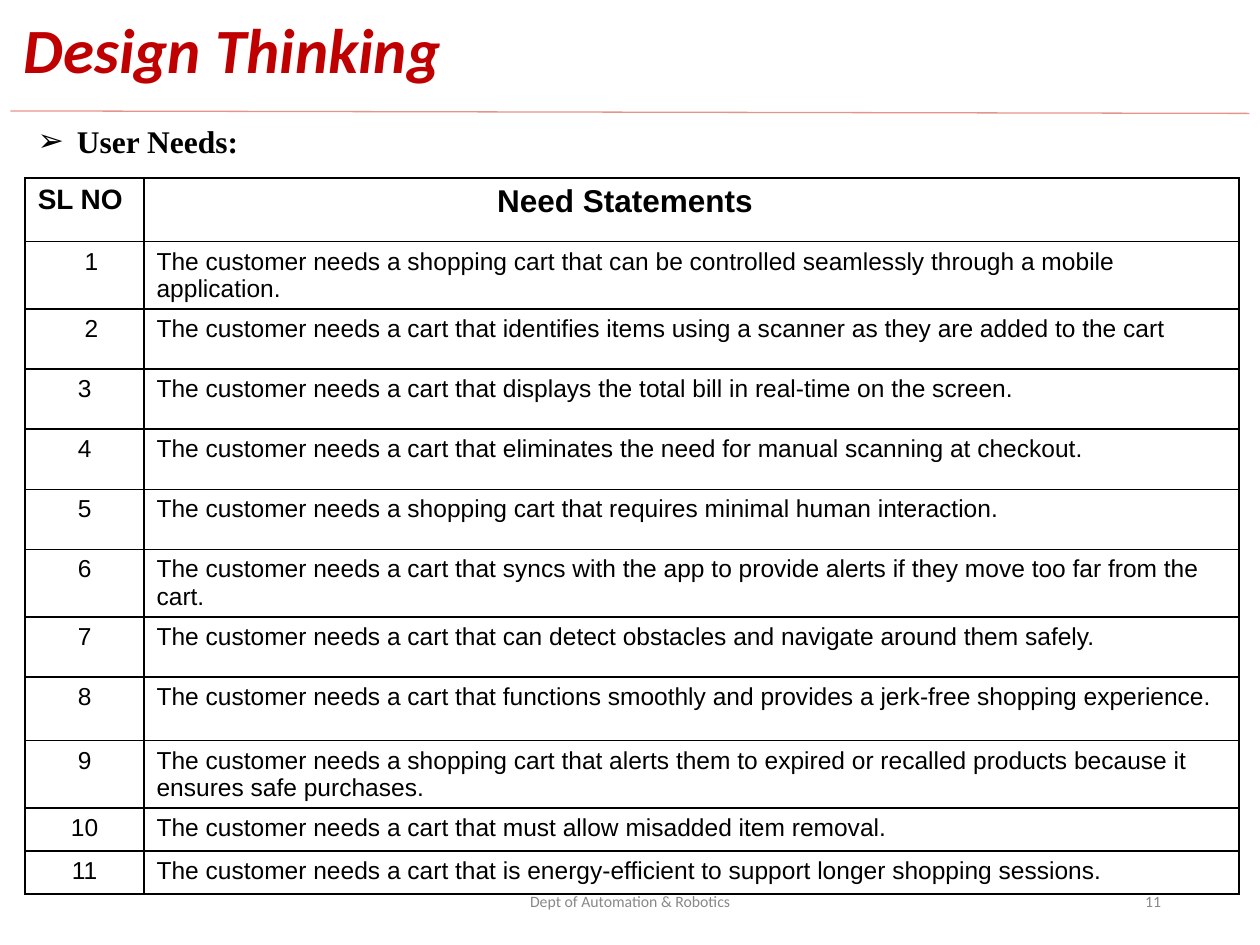
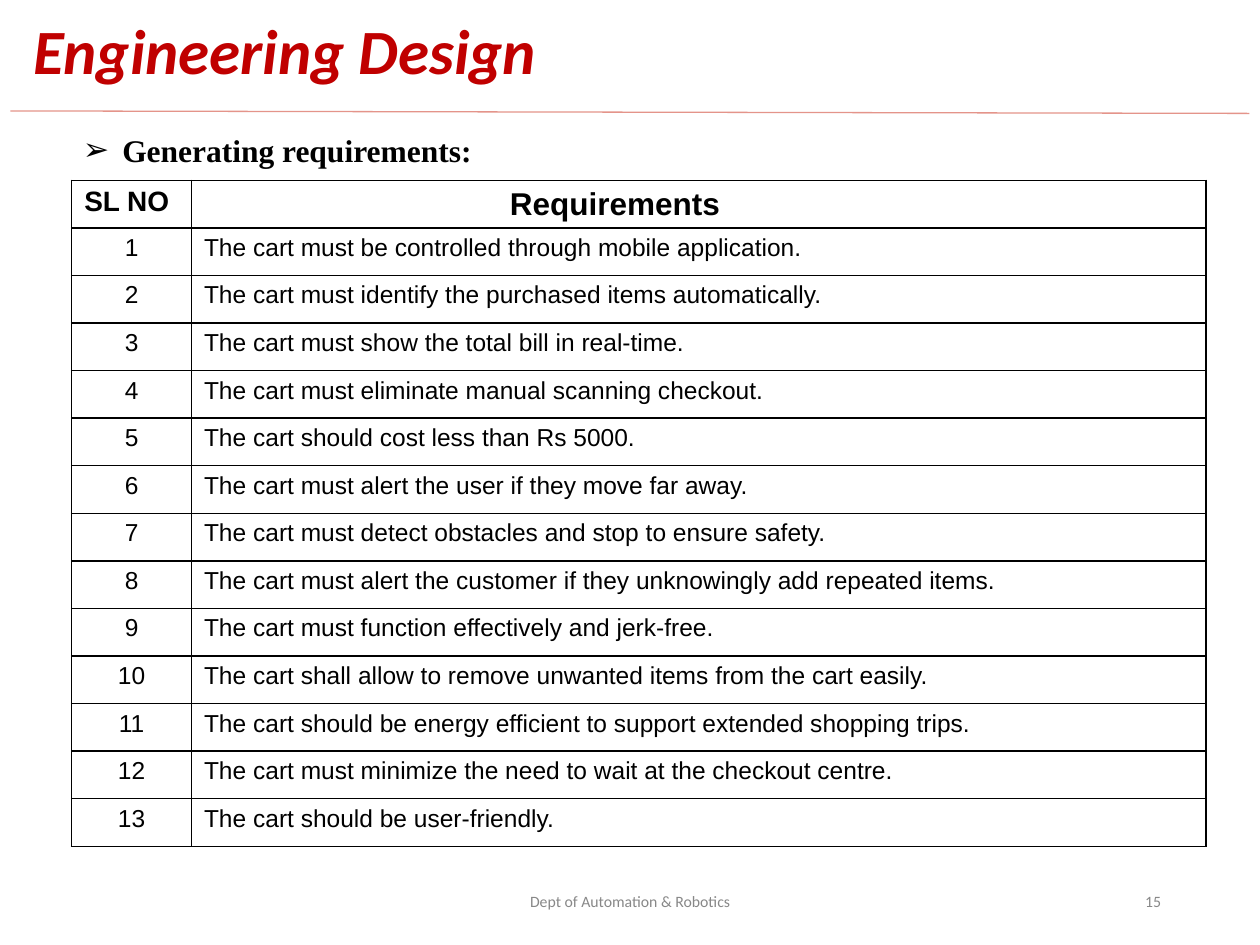
import pptx
import pptx.util
import pptx.dml.color
import pptx.enum.shapes
import pptx.enum.text
import pptx.oxml.ns
from lxml import etree

Pt = pptx.util.Pt
Color = pptx.dml.color.RGBColor
Align = pptx.enum.text.PP_ALIGN
Anchor = pptx.enum.text.MSO_ANCHOR
qn = pptx.oxml.ns.qn

RED = Color(0xC0, 0x00, 0x00)
ROSE = Color(0xE4, 0x94, 0x8A)
GREY = Color(0x88, 0x88, 0x88)
BLACK = Color(0, 0, 0)

NEEDS = [
    "The customer needs a shopping cart that can be controlled seamlessly through a mobile application.",
    "The customer needs a cart that identifies items using a scanner as they are added to the cart",
    "The customer needs a cart that displays the total bill in real-time on the screen.",
    "The customer needs a cart that eliminates the need for manual scanning at checkout.",
    "The customer needs a shopping cart that requires minimal human interaction.",
    "The customer needs a cart that syncs with the app to provide alerts if they move too far from the cart.",
    "The customer needs a cart that can detect obstacles and navigate around them safely.",
    "The customer needs a cart that functions smoothly and provides a jerk-free shopping experience.",
    "The customer needs a shopping cart that alerts them to expired or recalled products because it "
    "ensures safe purchases.",
    "The customer needs a cart that must allow misadded item removal.",
    "The customer needs a cart that is energy-efficient to support longer shopping sessions.",
]
NEED_ROWS = [36.4, 38.6] + [34.3] * 4 + [38.6, 34.3, 36.4, 38.6, 24.5, 24.5]

RULES = [
    "The cart must be controlled through mobile application.",
    "The cart must identify the purchased items automatically.",
    "The cart must show the total bill in real-time.",
    "The cart must eliminate manual scanning checkout.",
    "The cart should cost less than Rs 5000.",
    "The cart must alert the user if they move far away.",
    "The cart must detect obstacles and stop to ensure safety.",
    "The cart must alert the customer if they unknowingly add repeated items.",
    "The cart must function effectively and jerk-free.",
    "The cart shall allow to remove unwanted items from the cart easily.",
    "The cart should be energy efficient to support extended shopping trips.",
    "The cart must minimize the need to wait at the checkout centre.",
    "The cart should be user-friendly.",
]
RULE_ROWS = [27.2] * (len(RULES) + 1)


def add_run(para, text, size, face, color=BLACK, bold=False, italic=False):
    run = para.add_run()
    run.text = text
    font = run.font
    font.size, font.name = Pt(size), face
    font.bold, font.italic = bold, italic
    font.color.rgb = color


def indent(para, left, first=0):
    props = para._p.get_or_add_pPr()
    props.set("marL", str(Pt(left)))
    props.set("indent", str(Pt(first)))
    return props


def add_box(slide, left, top, width, height, anchor=Anchor.MIDDLE):
    """Add a wrapping text box and return its first paragraph."""
    box = slide.shapes.add_textbox(Pt(left), Pt(top), Pt(width), Pt(height))
    frame = box.text_frame
    frame.word_wrap = True
    frame.vertical_anchor = anchor
    return frame.paragraphs[0]


def add_rule(slide):
    line = slide.shapes.add_connector(
        pptx.enum.shapes.MSO_CONNECTOR.STRAIGHT, Pt(6), Pt(63.4), Pt(714), Pt(64.8))
    line.line.color.rgb = ROSE
    line.line.width = Pt(0.75)
    etree.SubElement(line._element.spPr, qn("a:effectLst"))


def add_title(slide, text, left, top):
    para = add_box(slide, left, top, 620.6, 41.8)
    para.line_spacing = 0.9
    add_run(para, text, 36, "Calibri", RED, bold=True, italic=True)


def add_foot(slide, number):
    for text, left, width, align in (
            ("Dept of Automation & Robotics", 238.5, 243, Align.CENTER),
            (number, 508.5, 162, Align.RIGHT)):
        para = add_box(slide, left, 500.5, width, 28.8)
        para.alignment = align
        add_run(para, text, 9, "Calibri", GREY)


def add_bullet(slide, text, left, top, width):
    para = add_box(slide, left, top, width, 29, Anchor.TOP)
    props = indent(para, 22.5, -22.5)
    tint = etree.SubElement(props, qn("a:buClr"))
    etree.SubElement(tint, qn("a:srgbClr")).set("val", str(BLACK))
    etree.SubElement(props, qn("a:buFont")).set("typeface", "Arial")
    etree.SubElement(props, qn("a:buChar")).set("char", "➢")
    add_run(para, text, 18, "Times New Roman", bold=True)


def style_cell(cell):
    """Give a cell black one-point borders, no fill and a tight bottom margin."""
    props = cell._tc.get_or_add_tcPr()
    for side in ("a:lnL", "a:lnR", "a:lnT", "a:lnB"):
        edge = etree.SubElement(props, qn(side))
        edge.set("w", str(Pt(1)))
        fill = etree.SubElement(edge, qn("a:solidFill"))
        etree.SubElement(fill, qn("a:srgbClr")).set("val", str(BLACK))
    cell.fill.background()
    cell.margin_bottom = Pt(1)


def add_list(slide, left, top, widths, heights, head, shift, items, nudged=0):
    """Add a numbered table; shift indents its heading, nudged counts offset numbers."""
    table = slide.shapes.add_table(
        len(items) + 1, 2, Pt(left), Pt(top), Pt(sum(widths)), Pt(sum(heights))).table
    table.first_row = table.horz_banding = False
    for col, width in zip(table.columns, widths):
        col.width = Pt(width)
    for row, height in zip(table.rows, heights):
        row.height = Pt(height)
    for cell in table.iter_cells():
        style_cell(cell)

    def para_at(row, col):
        return table.cell(row, col).text_frame.paragraphs[0]

    add_run(para_at(0, 0), "SL NO", 16, "Arial", bold=True)
    indent(para_at(0, 1), shift)
    add_run(para_at(0, 1), head, 18, "Arial", bold=True)
    for num, item in enumerate(items, 1):
        para = para_at(num, 0)
        para.alignment = Align.CENTER
        if num <= nudged:
            indent(para, 7.8)
        add_run(para, str(num), 14, "Arial")
        add_run(para_at(num, 1), item, 14, "Arial")


def add_page(deck, title, left, top, number):
    slide = deck.slides.add_slide(deck.slide_layouts[6])
    add_rule(slide)
    add_title(slide, title, left, top)
    add_foot(slide, number)
    return slide


def main():
    deck = pptx.Presentation()
    deck.slide_width, deck.slide_height = Pt(720), Pt(540)

    needs = add_page(deck, "Design Thinking", 6.5, 9.4, "11")
    add_list(needs, 14.4, 101.7, (67.9, 625.7), NEED_ROWS,
             "Need Statements", 194.6, NEEDS, nudged=2)
    add_bullet(needs, "User Needs:", 14.4, 66.2, 273)

    rules = add_page(deck, "Engineering Design", 11.9, 10.2, "15")
    add_list(rules, 41, 103, (68.4, 579.8), RULE_ROWS, "Requirements", 174.8, RULES)
    add_bullet(rules, "Generating requirements:", 40.3, 71.3, 454)

    deck.save("out.pptx")


if __name__ == "__main__":
    main()
